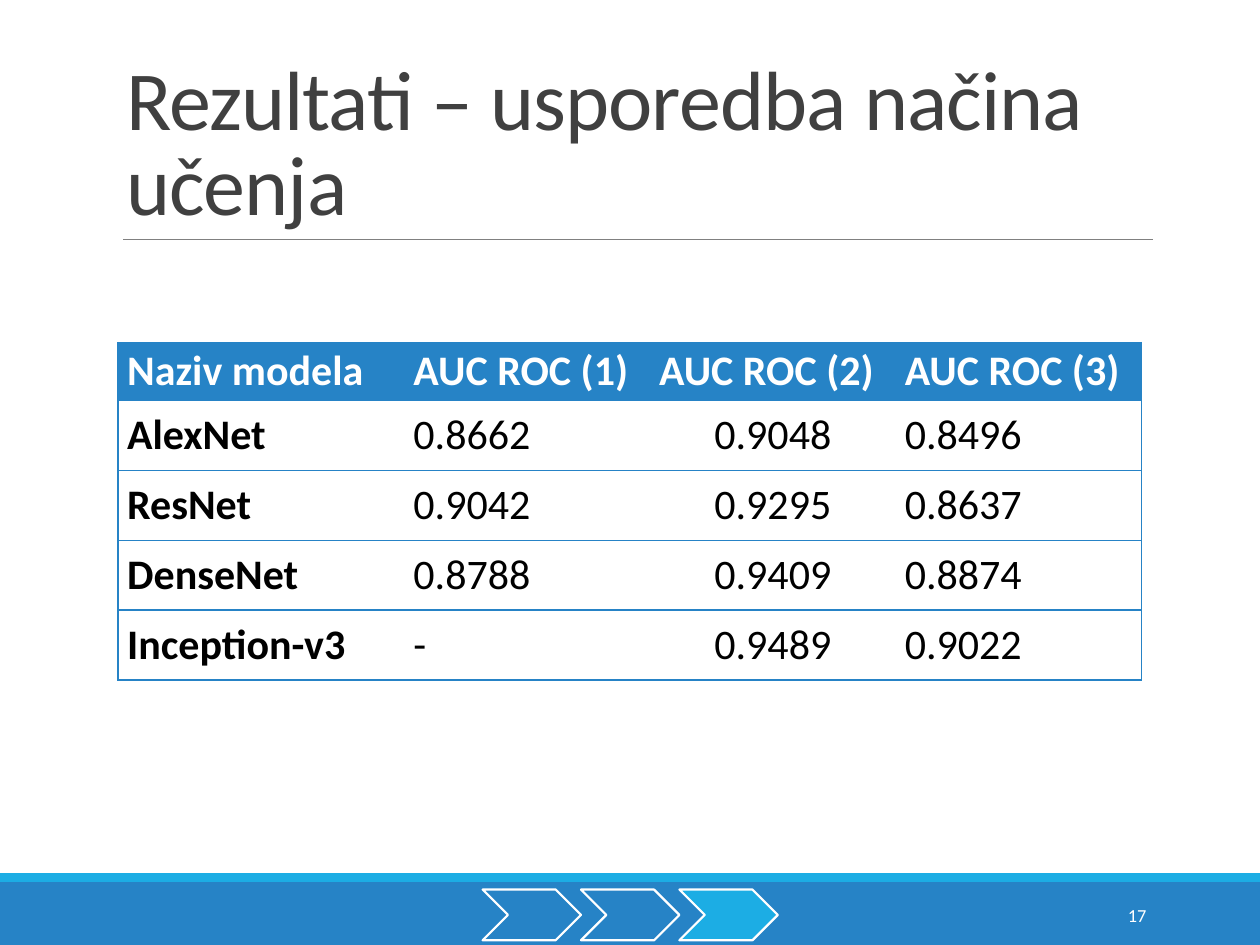
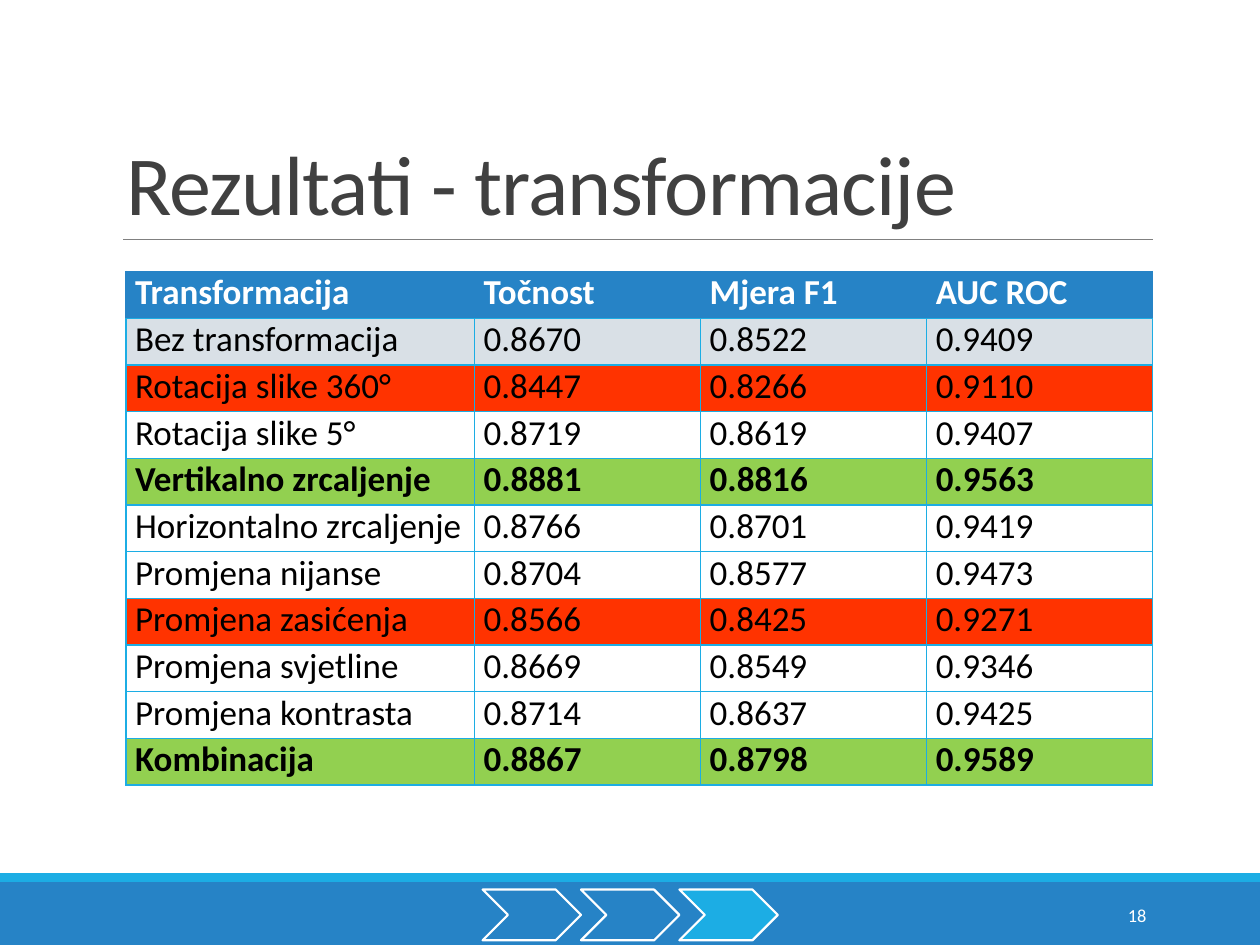
from collections import namedtuple

from lxml.etree import SubElement
from pptx import Presentation
from pptx.dml.color import RGBColor
from pptx.enum.shapes import MSO_CONNECTOR, MSO_SHAPE
from pptx.enum.text import MSO_ANCHOR, MSO_AUTO_SIZE, PP_ALIGN
from pptx.oxml import parse_xml
from pptx.oxml.ns import nsdecls, qn
from pptx.util import Pt

Box = namedtuple("Box", "left top width height")

FONT = "Calibri"
BLUE, CYAN, WHITE, BLACK = "2683C6", "1CADE4", "FFFFFF", "000000"
TITLE_GREY, RULE_GREY = "404040", "808080"
BASELINE, WORSE, BETTER = "D9E0E6", "FF3300", "92D050"

SLIDE_WIDTH, SLIDE_HEIGHT = 720, 540
TITLE_TOP, TITLE_HEIGHT = 22.3, 114.5
FOOTER = Box(0, 499, SLIDE_WIDTH, 41)
STRIPE_HEIGHT = 5
STEP_COUNT, CURRENT_STEP = 3, 2

MODEL_ROWS = [
    ("Naziv modela", "AUC ROC (1)", "AUC ROC (2)", "AUC ROC (3)"),
    ("AlexNet", "0.8662", "0.9048", "0.8496"),
    ("ResNet", "0.9042", "0.9295", "0.8637"),
    ("DenseNet", "0.8788", "0.9409", "0.8874"),
    ("Inception-v3", "-", "0.9489", "0.9022"),
]

TRANSFORMATION_ROWS = [
    ("Transformacija", "Točnost", "Mjera F1", "AUC ROC"),
    ("Bez transformacija", "0.8670", "0.8522", "0.9409"),
    ("Rotacija slike 360°", "0.8447", "0.8266", "0.9110"),
    ("Rotacija slike 5°", "0.8719", "0.8619", "0.9407"),
    ("Vertikalno zrcaljenje", "0.8881", "0.8816", "0.9563"),
    ("Horizontalno zrcaljenje", "0.8766", "0.8701", "0.9419"),
    ("Promjena nijanse", "0.8704", "0.8577", "0.9473"),
    ("Promjena zasićenja", "0.8566", "0.8425", "0.9271"),
    ("Promjena svjetline", "0.8669", "0.8549", "0.9346"),
    ("Promjena kontrasta", "0.8714", "0.8637", "0.9425"),
    ("Kombinacija", "0.8867", "0.8798", "0.9589"),
]
TRANSFORMATION_FILLS = {1: BASELINE, 2: WORSE, 4: BETTER, 7: WORSE, 10: BETTER}


def color(hex_string):
    return RGBColor.from_string(hex_string)


def points(box):
    return [Pt(length) for length in box]


def add_run(paragraph, text, size, hex_color, bold=False):
    run = paragraph.add_run()
    run.text = text
    run.font.name = FONT
    run.font.size = Pt(size)
    run.font.bold = bold
    run.font.color.rgb = color(hex_color)
    return run


def add_filled_shape(shapes, kind, box, fill=None, line=None):
    shape = shapes.add_shape(kind, *points(box))
    shape.shadow.inherit = False
    if fill:
        shape.fill.solid()
        shape.fill.fore_color.rgb = color(fill)
    else:
        shape.fill.background()
    if line:
        shape.line.color.rgb = color(line)
        shape.line.width = Pt(1.25)
    else:
        shape.line.fill.background()
    return shape


def add_title(slide, text, box):
    title = slide.shapes.title
    title.left, title.top, title.width, title.height = points(box)
    frame = title.text_frame
    frame.word_wrap = True
    frame.auto_size = MSO_AUTO_SIZE.NONE
    frame.vertical_anchor = MSO_ANCHOR.BOTTOM
    paragraph = frame.paragraphs[0]
    paragraph.alignment = PP_ALIGN.LEFT
    paragraph.line_spacing = 0.85
    run = add_run(paragraph, text, 48, TITLE_GREY)
    run.font._element.set("spc", "-50")


def add_title_rule(slide, left, right, y):
    rule = slide.shapes.add_connector(
        MSO_CONNECTOR.STRAIGHT, Pt(left), Pt(y), Pt(right), Pt(y))
    rule.line.color.rgb = color(RULE_GREY)
    rule.line.width = Pt(0.5)
    SubElement(rule._element.spPr, qn("a:effectLst"))


def add_progress_steps(slide, box):
    group = slide.shapes.add_group_shape()
    step_width = box.width / STEP_COUNT
    for step in range(STEP_COUNT):
        step_box = Box(box.left + step * step_width, box.top, step_width, box.height)
        add_filled_shape(group.shapes, MSO_SHAPE.CHEVRON, step_box,
                         CYAN if step == CURRENT_STEP else None, WHITE)


def add_slide_number(slide, number, box):
    frame = slide.shapes.add_textbox(*points(box)).text_frame
    frame.word_wrap = True
    frame.vertical_anchor = MSO_ANCHOR.MIDDLE
    paragraph = frame.paragraphs[0]
    paragraph.alignment = PP_ALIGN.RIGHT
    add_run(paragraph, str(number), 10.5, WHITE)


def add_footer(slide, number, box):
    band = Box(box.left, box.top + STRIPE_HEIGHT, box.width, box.height - STRIPE_HEIGHT)
    stripe = Box(box.left, box.top, box.width, STRIPE_HEIGHT)
    add_filled_shape(slide.shapes, MSO_SHAPE.RECTANGLE, band, BLUE)
    add_filled_shape(slide.shapes, MSO_SHAPE.RECTANGLE, stripe, CYAN)
    content_top = box.top + 9.3
    add_progress_steps(slide, Box(box.left + 275.8, content_top, 168.7, 29))
    add_slide_number(slide, number, Box(box.left + 584.6, content_top, 77.6, 28.8))


def set_borders(cell, left, right, top, bottom):
    """Set 1 pt borders by colour; None hides that side."""
    properties = cell._tc.get_or_add_tcPr()
    sides = {"lnL": left, "lnR": right, "lnT": top, "lnB": bottom}
    for index, (tag, hex_color) in enumerate(sides.items()):
        fill = (f'<a:solidFill><a:srgbClr val="{hex_color}"/></a:solidFill>'
                if hex_color else "<a:noFill/>")
        border = parse_xml(f'<a:{tag} {nsdecls("a")} w="12700">{fill}</a:{tag}>')
        properties.insert(index, border)


def fill_cell(cell, text, size, hex_color, bold, fill, anchor, alignment):
    cell.margin_left = cell.margin_right = Pt(5.2)
    cell.margin_top = cell.margin_bottom = 0
    cell.vertical_anchor = anchor
    if fill:
        cell.fill.solid()
        cell.fill.fore_color.rgb = color(fill)
    else:
        cell.fill.background()
    paragraph = cell.text_frame.paragraphs[0]
    paragraph.alignment = alignment
    add_run(paragraph, text, size, hex_color, bold)


def add_plain_table(slide, box, rows, first_width, header_height):
    """Add an unbanded table with a sized first column and header row."""
    row_count, column_count = len(rows), len(rows[0])
    table = slide.shapes.add_table(row_count, column_count, *points(box)).table
    table.horz_banding = False
    other_width = (box.width - first_width) / (column_count - 1)
    for index, column in enumerate(table.columns):
        column.width = Pt(other_width if index else first_width)
    body_height = (box.height - header_height) / (row_count - 1)
    for index, row in enumerate(table.rows):
        row.height = Pt(body_height if index else header_height)
    return table


def add_model_table(slide, box):
    table = add_plain_table(slide, box, MODEL_ROWS, 163.6, 33.2)
    last_column = len(MODEL_ROWS[0]) - 1
    for row, values in enumerate(MODEL_ROWS):
        header = row == 0
        for column, text in enumerate(values):
            cell = table.cell(row, column)
            centred = column == 2 and not header
            fill_cell(cell, text, 24, WHITE if header else BLACK,
                      header or column == 0, BLUE if header else None,
                      MSO_ANCHOR.MIDDLE,
                      PP_ALIGN.CENTER if centred else PP_ALIGN.LEFT)
            set_borders(cell, BLUE if column == 0 else None,
                        BLUE if column == last_column else None, BLUE, BLUE)


def add_transformation_table(slide, box):
    row_height = box.height / len(TRANSFORMATION_ROWS)
    table = add_plain_table(slide, box, TRANSFORMATION_ROWS, 199.2, row_height)
    for row, values in enumerate(TRANSFORMATION_ROWS):
        header = row == 0
        fill = BLUE if header else TRANSFORMATION_FILLS.get(row)
        edge = BLUE if header else CYAN
        for column, text in enumerate(values):
            cell = table.cell(row, column)
            fill_cell(cell, text, 20, WHITE if header else BLACK,
                      header or fill == BETTER, fill, MSO_ANCHOR.TOP, PP_ALIGN.LEFT)
            set_borders(cell, edge, edge, edge, CYAN)


def add_result_slide(presentation, number, title, title_width):
    slide = presentation.slides.add_slide(presentation.slide_layouts[5])
    add_title(slide, title, Box(64.8, TITLE_TOP, title_width, TITLE_HEIGHT))
    add_title_rule(slide, 70.4, 658.8, TITLE_TOP + TITLE_HEIGHT)
    add_footer(slide, number, FOOTER)
    return slide


def main():
    presentation = Presentation()
    presentation.slide_width = Pt(SLIDE_WIDTH)
    presentation.slide_height = Pt(SLIDE_HEIGHT)

    slide = add_result_slide(presentation, 17, "Rezultati – usporedba načina učenja", 597.6)
    add_model_table(slide, Box(67.5, 195.8, 584.8, 192.8))

    slide = add_result_slide(presentation, 18, "Rezultati - transformacije", 594)
    add_transformation_table(slide, Box(72, 155.2, 586.8, 293.7))

    presentation.save("out.pptx")


if __name__ == "__main__":
    main()
